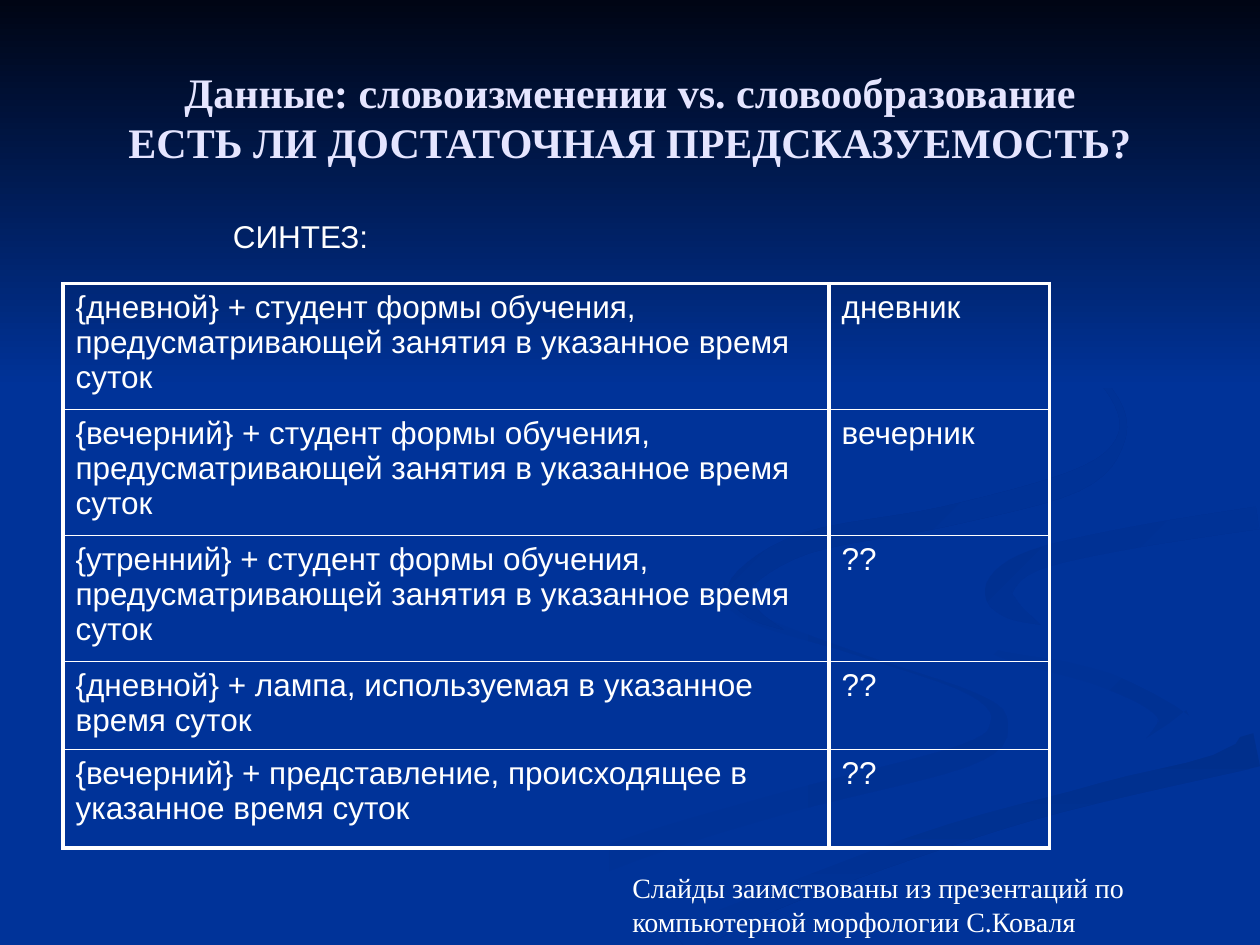
import math
from dataclasses import dataclass

from lxml import etree
from pptx import Presentation
from pptx.dml.color import RGBColor
from pptx.enum import shapes, text
from pptx.oxml.ns import qn
from pptx.util import Inches, Pt

SLIDE_WIDTH, SLIDE_HEIGHT = 10, 7.5
WHITE, BLUE, LAVENDER, NIGHT = "FFFFFF", "003399", "E5E5FF", "000514"
SANS, SERIF = "Arial", "Times New Roman"
THICK, THIN = 2.25, 1
STEPS_PER_SPAN = 6
STUDENT = "студент формы обучения, предусматривающей занятия в указанное время суток"


@dataclass
class Gradient:
    """Two colours and a clockwise angle."""
    start: str
    end: str
    angle: int


@dataclass
class Ribbon:
    """A smooth spine through knots of x, y and ribbon width in inches."""
    gradient: Gradient
    knots: list


@dataclass
class Derivation:
    """A stem with its meaning, the derived word and the row height."""
    stem: str
    meaning: str
    word: str
    height: float


@dataclass
class Caption:
    """A line of text with its box and font."""
    wording: str
    box: tuple
    size: int
    font: str


LOWER_SWIRL = Ribbon(Gradient(BLUE, "003193", 0), [
    (5.74, 4.6, 0), (5.9, 4.87, 0.08), (6.8, 5.19, 0.02), (7.7, 5.5, 0.03), (7.93, 5.74, 0.14),
    (7.65, 6, 0.18), (6.2, 6.38, 0.17), (4.8, 6.82, 0.2), (3.3, 7.49, 0.26)])
RIGHT_SWIRL = Ribbon(Gradient(BLUE, "003193", 45), [
    (7.24, 4.64, 0), (7.4, 4.9, 0.06), (7.96, 5.17, 0.1), (8.72, 5.38, 0.12),
    (9.2, 5.58, 0.18), (9.3, 5.78, 0.25), (8.94, 6.05, 0)])
LOWER_SWEEP = Ribbon(Gradient("002F8C", BLUE, 90), [
    (5.37, 7.49, 0.26), (6.1, 7.15, 0.18), (7.22, 6.72, 0.2), (8.4, 6.36, 0.18), (9.98, 5.95, 0.27)])
WIDE_SWIRL = Ribbon(Gradient(BLUE, BLUE, 0), [
    (9.99, 3.94, 0.15), (8.7, 4.16, 0.16), (7.8, 4.36, 0.2), (7.53, 4.63, 0.56), (7.9, 4.95, 0.4),
    (8.85, 5.25, 0.2), (9.7, 5.65, 0.5), (8.7, 6.15, 0.14), (7.2, 6.58, 0.13), (4.9, 7.49, 0.1)])
RIGHT_HOOK = Ribbon(Gradient("003091", BLUE, 45), [
    (9.98, 4.11, 0.18), (8.97, 4.27, 0.17), (8.2, 4.45, 0.17), (7.93, 4.67, 0.22),
    (8.02, 4.83, 0.16), (8.26, 4.96, 0)])
UPPER_SWIRL = Ribbon(Gradient("002F8E", BLUE, 45), [
    (7.62, 2.33, 0), (8.44, 2.77, 0.04), (8.84, 3.15, 0.05), (8.89, 3.5, 0.07), (8.53, 3.82, 0.17),
    (7.5, 4.1, 0.16), (6.4, 4.31, 0.17), (5.87, 4.64, 0.16), (5.97, 4.86, 0.1), (6.22, 5, 0)])
RIBBONS = [LOWER_SWIRL, RIGHT_SWIRL, LOWER_SWEEP, WIDE_SWIRL, RIGHT_HOOK, UPPER_SWIRL]

DERIVATIONS = [
    Derivation("дневной", STUDENT, "дневник", 1),
    Derivation("вечерний", STUDENT, "вечерник", 1),
    Derivation("утренний", STUDENT, "??", 1),
    Derivation("дневной", "лампа, используемая в указанное время суток", "??", 0.7),
    Derivation("вечерний", "представление, происходящее в указанное время суток", "??", 0.78),
]

CAPTIONS = [
    Caption("СИНТЕЗ:", (1.75, 1.67, 6.33, 0.4), 18, SANS),
    Caption("Слайды заимствованы из презентаций по компьютерной морфологии С.Коваля",
            (4.92, 6.86, 5, 0.64), 16, SERIF),
]


def rgb(value: str) -> RGBColor:
    """Turn a hex string into a colour."""
    return RGBColor.from_string(value)


def add_run(paragraph, wording: str, size: int, font: str, color: str = WHITE, bold: bool = False) -> None:
    """Append one formatted run."""
    run = paragraph.add_run()
    run.text = wording
    run.font.size, run.font.name, run.font.bold = Pt(size), font, bold
    run.font.color.rgb = rgb(color)


def paint(shape, gradient: Gradient) -> None:
    """Fill a shape with a gradient and remove its line and shadow."""
    shape.shadow.inherit = False
    shape.line.fill.background()
    shape.fill.gradient()
    shape.fill.gradient_angle = -gradient.angle % 360
    for stop, color in zip(shape.fill.gradient_stops, (gradient.start, gradient.end)):
        stop.color.rgb = rgb(color)


def smooth(knots: list) -> list:
    """Interpolate the knots with a Catmull-Rom spline."""
    padded = [knots[0], *knots, knots[-1]]
    samples = []
    for span in zip(padded, padded[1:], padded[2:], padded[3:]):
        for step in range(STEPS_PER_SPAN):
            t = step / STEPS_PER_SPAN
            samples.append(tuple(
                b + t * (c - a) / 2 + t**2 * (a - 2.5 * b + 2 * c - d / 2) + t**3 * (3 * b - a - 3 * c + d) / 2
                for a, b, c, d in zip(*span)))
    return samples + [knots[-1]]


def ribbon_outline(knots: list) -> list:
    """Offset the spine by half the width to both sides, within the slide."""
    spine = smooth(knots)
    edges = {1: [], -1: []}
    for index, (x, y, width) in enumerate(spine):
        before, after = spine[max(index - 1, 0)], spine[min(index + 1, len(spine) - 1)]
        heading = math.atan2(after[1] - before[1], after[0] - before[0])
        for side, edge in edges.items():
            offset = side * max(width, 0) / 2
            edge.append((min(x - offset * math.sin(heading), SLIDE_WIDTH),
                         min(y + offset * math.cos(heading), SLIDE_HEIGHT)))
    return edges[1] + edges[-1][::-1]


def draw_ribbon(slide, ribbon: Ribbon) -> None:
    """Draw one ribbon of the background."""
    points = [(Inches(x), Inches(y)) for x, y in ribbon_outline(ribbon.knots)]
    builder = slide.shapes.build_freeform(*points[0])
    builder.add_line_segments(points[1:], close=True)
    paint(builder.convert_to_shape(), ribbon.gradient)


def draw_night_sky(slide) -> None:
    """Darken the upper part of the background."""
    box = map(Inches, (0, 0, SLIDE_WIDTH, 3.08))
    sky = slide.shapes.add_shape(shapes.MSO_SHAPE.RECTANGLE, *box)
    paint(sky, Gradient(NIGHT, BLUE, 90))


def draw_title(slide, lines: list) -> None:
    """Fill the title and bring it in front of the background."""
    title = slide.shapes.title
    title.element.getparent().append(title.element)
    title.left, title.top, title.width, title.height = map(Inches, (0.5, 0.3, 9, 1.25))
    title.text_frame.vertical_anchor = text.MSO_ANCHOR.MIDDLE
    paragraph = title.text_frame.paragraphs[0]
    paragraph.alignment = text.PP_ALIGN.CENTER
    for index, line in enumerate(lines):
        if index:
            paragraph.add_line_break()
        add_run(paragraph, line, 24, SERIF, LAVENDER, True)


def set_borders(cell, top: float, bottom: float) -> None:
    """Give a cell thick white sides and the given top and bottom lines."""
    properties = cell._tc.get_or_add_tcPr()
    for side, width in (("L", THICK), ("R", THICK), ("T", top), ("B", bottom)):
        line = etree.SubElement(properties, qn(f"a:ln{side}"), w=str(Pt(width)))
        fill = etree.SubElement(line, qn("a:solidFill"))
        etree.SubElement(fill, qn("a:srgbClr"), val=WHITE)


def draw_table(slide, derivations: list) -> None:
    """Draw the table of derivations."""
    last = len(derivations) - 1
    box = map(Inches, (0.5, 2.25, 7.83, sum(item.height for item in derivations)))
    table = slide.shapes.add_table(len(derivations), 2, *box).table
    table.first_row = table.horz_banding = False
    for column, width in zip(table.columns, (6.08, 1.75)):
        column.width = Inches(width)
    for index, (row, item) in enumerate(zip(table.rows, derivations)):
        row.height = Inches(item.height)
        for cell, wording in zip(row.cells, (f"{{{item.stem}}} + {item.meaning}", item.word)):
            add_run(cell.text_frame.paragraphs[0], wording, 18, SANS)
            set_borders(cell, THIN if index else THICK, THIN if index < last else THICK)
            cell.fill.background()


def draw_caption(slide, caption: Caption) -> None:
    """Draw a wrapped text box."""
    frame = slide.shapes.add_textbox(*map(Inches, caption.box)).text_frame
    frame.word_wrap = True
    add_run(frame.paragraphs[0], caption.wording, caption.size, caption.font)


def main() -> None:
    """Build and save the slide."""
    deck = Presentation()
    deck.slide_width, deck.slide_height = Inches(SLIDE_WIDTH), Inches(SLIDE_HEIGHT)
    slide = deck.slides.add_slide(deck.slide_layouts[5])
    slide.background.fill.solid()
    slide.background.fill.fore_color.rgb = rgb(BLUE)
    for ribbon in RIBBONS:
        draw_ribbon(slide, ribbon)
    draw_night_sky(slide)
    draw_title(slide, ["Данные: словоизменении vs. словообразование", "ЕСТЬ ЛИ ДОСТАТОЧНАЯ ПРЕДСКАЗУЕМОСТЬ?"])
    draw_table(slide, DERIVATIONS)
    for caption in CAPTIONS:
        draw_caption(slide, caption)
    deck.save("out.pptx")


if __name__ == "__main__":
    main()
